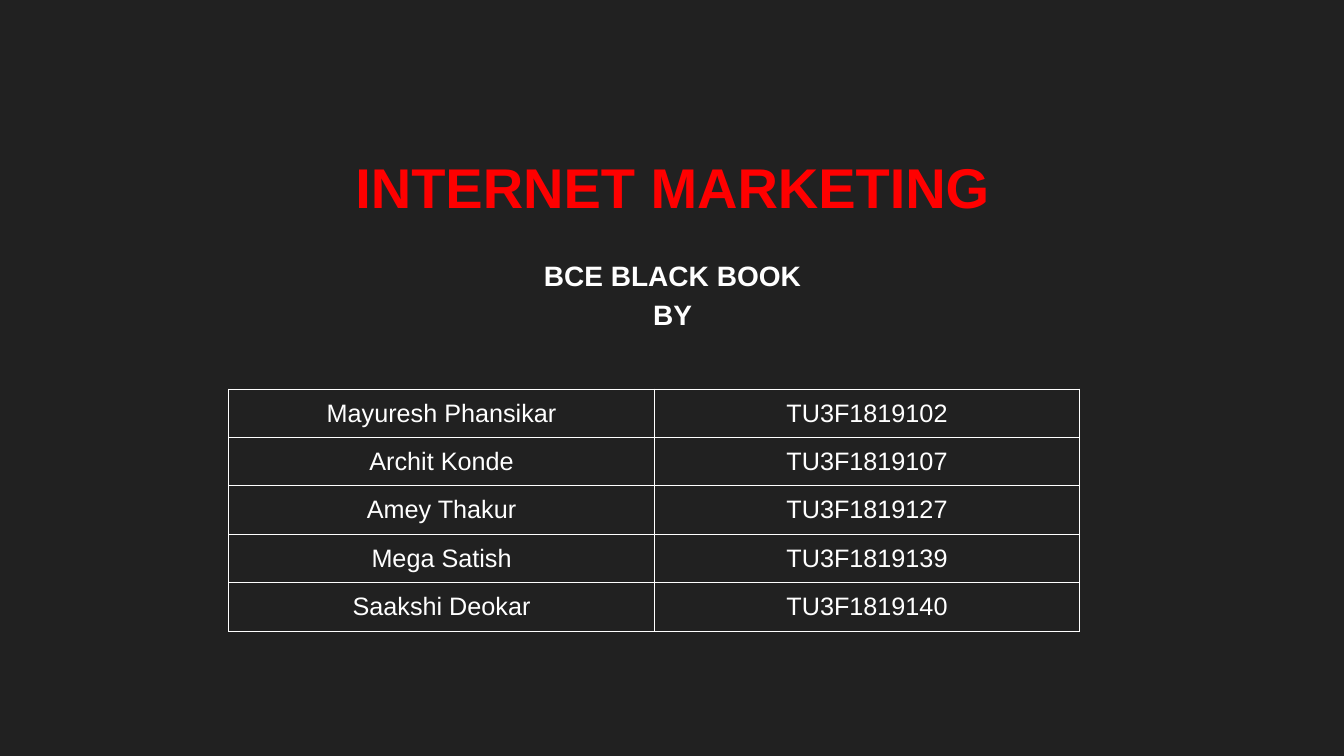
"""Build the cover slide of the Internet Marketing black book."""
import pptx
import pptx.dml.color
import pptx.enum.text
import pptx.oxml
import pptx.oxml.ns
import pptx.util
from pptx.util import Inches

COLORS = {"background": "212121", "title": "FF0000", "text": "FFFFFF"}
FONT = "Arial"
MEMBERS = [
    ("Mayuresh Phansikar", "TU3F1819102"),
    ("Archit Konde", "TU3F1819107"),
    ("Amey Thakur", "TU3F1819127"),
    ("Mega Satish", "TU3F1819139"),
    ("Saakshi Deokar", "TU3F1819140"),
]


def rgb(name):
    return pptx.dml.color.RGBColor.from_string(COLORS[name])


def write_text(tf, text, size=18, color="text", bold=False, spacing=1.0):
    tf.text = text
    for p in tf.paragraphs:
        p.alignment = pptx.enum.text.PP_ALIGN.CENTER
        p.line_spacing = spacing
        p.space_before = pptx.util.Pt(0)
        for r in p.runs:
            r.font.name = FONT
            r.font.size = pptx.util.Pt(size)
            r.font.bold = bold
            r.font.color.rgb = rgb(color)


def fill_placeholder(sp, text, top, height, **text_format):
    sp.left, sp.top = Inches(0.92), Inches(top)
    sp.width, sp.height = Inches(11.5), Inches(height)
    tf = sp.text_frame
    tf.word_wrap = True
    tf.auto_size = pptx.enum.text.MSO_AUTO_SIZE.NONE
    tf.vertical_anchor = pptx.enum.text.MSO_ANCHOR.MIDDLE
    write_text(tf, text, bold=True, **text_format)


def add_borders(cell, color="text", width=0.75):
    tcPr = cell._tc.get_or_add_tcPr()
    for side in ("lnL", "lnR", "lnT", "lnB"):
        tcPr.append(pptx.oxml.parse_xml(
            f'<a:{side} {pptx.oxml.ns.nsdecls("a")} w="{pptx.util.Pt(width)}">'
            f'<a:solidFill><a:srgbClr val="{COLORS[color]}"/></a:solidFill>'
            f'</a:{side}>'))


def add_member_table(slide, members):
    row_height = Inches(0.48)
    table = slide.shapes.add_table(
        len(members), 2, Inches(2.27), Inches(3.86),
        Inches(8.44), row_height * len(members)).table
    table.first_row = table.horz_banding = False
    for row, member in zip(table.rows, members):
        row.height = row_height
        for cell, text in zip(row.cells, member):
            cell.margin_left = cell.margin_right = Inches(0.1)
            cell.margin_top = cell.margin_bottom = Inches(0.1)
            add_borders(cell)
            cell.fill.background()
            write_text(cell.text_frame, text)


def main():
    prs = pptx.Presentation()
    prs.slide_width, prs.slide_height = Inches(13.33), Inches(7.5)
    slide = prs.slides.add_slide(prs.slide_layouts[0])
    slide.background.fill.solid()
    slide.background.fill.fore_color.rgb = rgb("background")
    title, subtitle = slide.placeholders
    fill_placeholder(title, "INTERNET MARKETING", 1.35, 1.0, size=40, color="title")
    fill_placeholder(subtitle, "BCE BLACK BOOK\nBY", 2.5, 0.8, size=20, spacing=1.15)
    add_member_table(slide, MEMBERS)
    prs.save("out.pptx")


if __name__ == "__main__":
    main()
